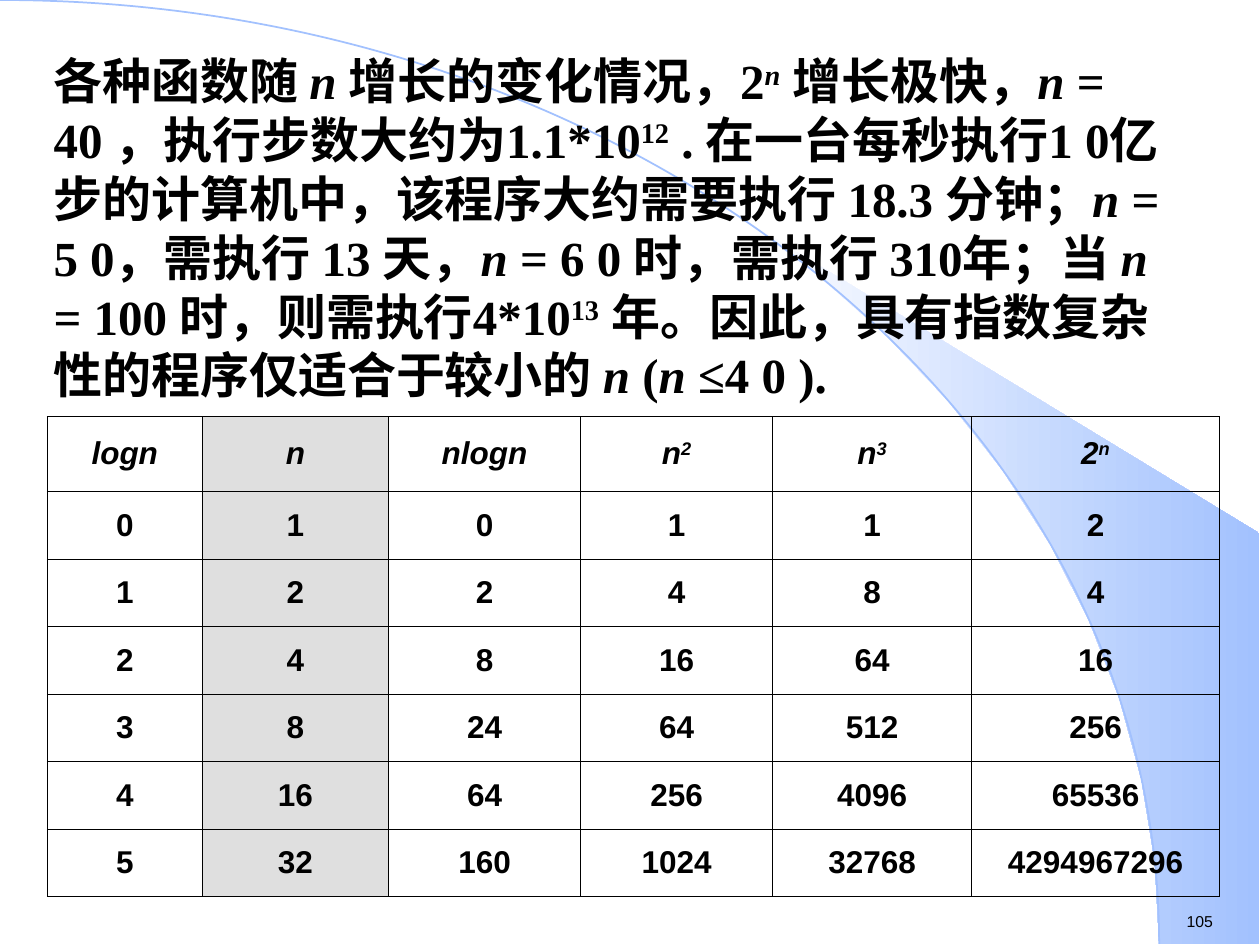
import math
import lxml.etree
import pptx
import pptx.dml.color
import pptx.enum.text
import pptx.oxml.ns
import pptx.util

Pt = pptx.util.Pt
align = pptx.enum.text.PP_ALIGN
anchor = pptx.enum.text.MSO_ANCHOR
qn = pptx.oxml.ns.qn

PLAIN, ITALIC, RAISED, RAISED_ITALIC = (0, 0), (1, 0), (0, 1), (1, 1)

GROWTH_TEXT = [
    ("各种函数随 ", PLAIN), ("n ", ITALIC),
    ("增长的变化情况，2", PLAIN), ("n", RAISED_ITALIC),
    (" 增长极快，", PLAIN), ("n ", ITALIC),
    ("= 40 ，执行步数大约为1.1*10", PLAIN), ("12", RAISED),
    (" . 在一台每秒执行1 0亿步的计算机中，该程序大约需要执行 18.3 分钟；", PLAIN),
    ("n ", ITALIC), ("= 5 0，需执行 13 天，", PLAIN),
    ("n ", ITALIC), ("= 6 0 时，需执行 310年；当 ", PLAIN),
    ("n ", ITALIC), ("= 100 时，则需执行4*10", PLAIN), ("13", RAISED),
    (" 年。因此，具有指数复杂性的程序仅适合于较小的 ", PLAIN),
    ("n ", ITALIC), ("(", PLAIN), ("n ", ITALIC), ("≤4 0 ).", PLAIN),
]
HEADINGS = [("logn", ""), ("n", ""), ("nlogn", ""), ("n", "2"), ("n", "3"), ("2", "n")]
VALUES = [
    (0, 1, 0, 1, 1, 2),
    (1, 2, 2, 4, 8, 4),
    (2, 4, 8, 16, 64, 16),
    (3, 8, 24, 64, 512, 256),
    (4, 16, 64, 256, 4096, 65536),
    (5, 32, 160, 1024, 32768, 4294967296),
]
PAGE_NUMBER = "105"

THEME = {
    "ink": "000000", "white": "FFFFFF", "sky": "A2C1FE", "gray": "DFDFDF",
    "body": {"name": "Times New Roman", "size": Pt(28), "bold": True},
    "table": {"name": "Arial", "size": Pt(18), "bold": True},
    "number": {"name": "Arial", "size": Pt(9), "bold": False},
}
PAGE_SIZE = (720, 540)
ARC_SIZE = (662.4, 539.3)
ARC_CONTROLS = [(365.8, 0), (662.4, 241.2), ARC_SIZE]
WEDGE_START, WEDGE_CORNER = 39.8, (719.3, 304.6)
WEDGE_STEPS = 10
BODY_BOX = (23.4, 25.4, 658.8, 208.8)
TABLE_ORIGIN = (27, 238)
COLUMN_WIDTHS = [88.6, 106.4, 109.8, 109.8, 113.6, 141.8]
ROW_HEIGHTS = [42.8] + [38.6] * len(VALUES)
SHADED_COLUMN = 1
NUMBER_BOX = (671, 517.7, 49, 18)


def color(name):
    return pptx.dml.color.RGBColor.from_string(THEME[name])


def set_values(target, values):
    for name, value in values.items():
        setattr(target, name, value)


def points(lengths):
    return [Pt(length) for length in lengths]


def add_span(para, text, kind, style=PLAIN):
    span = para.add_run()
    span.text = text
    italic, raised = style
    set_values(span.font, {**THEME[kind], "italic": bool(italic)})
    span.font.color.rgb = color("ink")
    if raised:
        span._r.get_or_add_rPr().set("baseline", "30000")


def arc_points(first, last, steps):
    angles = [math.radians(first + (last - first) * i / steps) for i in range(steps + 1)]
    return [(ARC_SIZE[0] * math.sin(a), ARC_SIZE[1] * (1 - math.cos(a))) for a in angles]


def add_outline(page, corners, close):
    start, *rest = [points(corner) for corner in corners]
    builder = page.shapes.build_freeform(*start)
    builder.add_line_segments(rest, close=close)
    shape = builder.convert_to_shape()
    shape.shadow.inherit = False
    return shape


def bend_segment(shape, controls):
    segment = next(shape.element.iter(qn("a:lnTo")))
    curve = lxml.etree.Element(qn("a:cubicBezTo"))
    for x, y in controls:
        lxml.etree.SubElement(curve, qn("a:pt"), x=str(Pt(x)), y=str(Pt(y)))
    segment.getparent().replace(segment, curve)


def add_backdrop(page):
    edge = arc_points(WEDGE_START, 90, WEDGE_STEPS)
    wedge = add_outline(page, edge + [(WEDGE_CORNER[0], ARC_SIZE[1]), WEDGE_CORNER], True)
    wedge.line.fill.background()
    wedge.fill.gradient()
    wedge.fill.gradient_angle = 0
    for stop, name in zip(wedge.fill.gradient_stops, ("white", "sky")):
        stop.color.rgb = color(name)
    arc = add_outline(page, [(0, 0), ARC_SIZE], False)
    bend_segment(arc, ARC_CONTROLS)
    arc.fill.background()
    arc.line.color.rgb = color("sky")
    arc.line.width = Pt(1)
    return arc


def fill_body(box):
    set_values(box, dict(zip(("left", "top", "width", "height"), points(BODY_BOX))))
    frame = box.text_frame
    set_values(frame, {"word_wrap": True, "vertical_anchor": anchor.TOP,
                       "auto_size": pptx.enum.text.MSO_AUTO_SIZE.NONE})
    para = frame.paragraphs[0]
    properties = para._p.get_or_add_pPr()
    for name in ("marL", "indent", "hangingPunct"):
        properties.set(name, "0")
    lxml.etree.SubElement(properties, qn("a:buNone"))
    para.space_before = Pt(0)
    for text, style in GROWTH_TEXT:
        add_span(para, text, "body", style)


def add_borders(cell):
    properties = cell._tc.get_or_add_tcPr()
    for position, side in enumerate(("lnL", "lnR", "lnT", "lnB")):
        line = pptx.oxml.parse_xml(
            f'<a:{side} {pptx.oxml.ns.nsdecls("a")} w="{Pt(0.45)}"><a:solidFill>'
            f'<a:srgbClr val="{THEME["ink"]}"/></a:solidFill></a:{side}>')
        properties.insert(position, line)


def add_growth_table(page):
    rows = [HEADINGS] + [[(str(value), "") for value in row] for row in VALUES]
    size = (sum(COLUMN_WIDTHS), sum(ROW_HEIGHTS))
    table = page.shapes.add_table(
        len(rows), len(HEADINGS), *points(TABLE_ORIGIN + size)).table
    set_values(table, {"first_row": False, "horz_banding": False})
    for column, width in zip(table.columns, COLUMN_WIDTHS):
        column.width = Pt(width)
    for r, (row, height) in enumerate(zip(rows, ROW_HEIGHTS)):
        table.rows[r].height = Pt(height)
        for c, (base, power) in enumerate(row):
            cell = table.cell(r, c)
            cell.vertical_anchor = anchor.MIDDLE
            if c == SHADED_COLUMN:
                cell.fill.solid()
                cell.fill.fore_color.rgb = color("gray")
            else:
                cell.fill.background()
            add_borders(cell)
            para = cell.text_frame.paragraphs[0]
            para.alignment = align.CENTER
            heading = r == 0
            add_span(para, base, "table", (heading, 0))
            if power:
                add_span(para, power, "table", (heading, 1))


def main():
    deck = pptx.Presentation()
    deck.slide_width, deck.slide_height = points(PAGE_SIZE)
    page = deck.slides.add_slide(deck.slide_layouts[1])
    title, body = page.placeholders
    title.element.getparent().remove(title.element)
    arc = add_backdrop(page)
    arc.element.addnext(body.element)
    fill_body(body)
    add_growth_table(page)
    number = page.shapes.add_textbox(*points(NUMBER_BOX))
    number.text_frame.word_wrap = True
    add_span(number.text_frame.paragraphs[0], PAGE_NUMBER, "number")
    deck.save("out.pptx")


if __name__ == "__main__":
    main()
